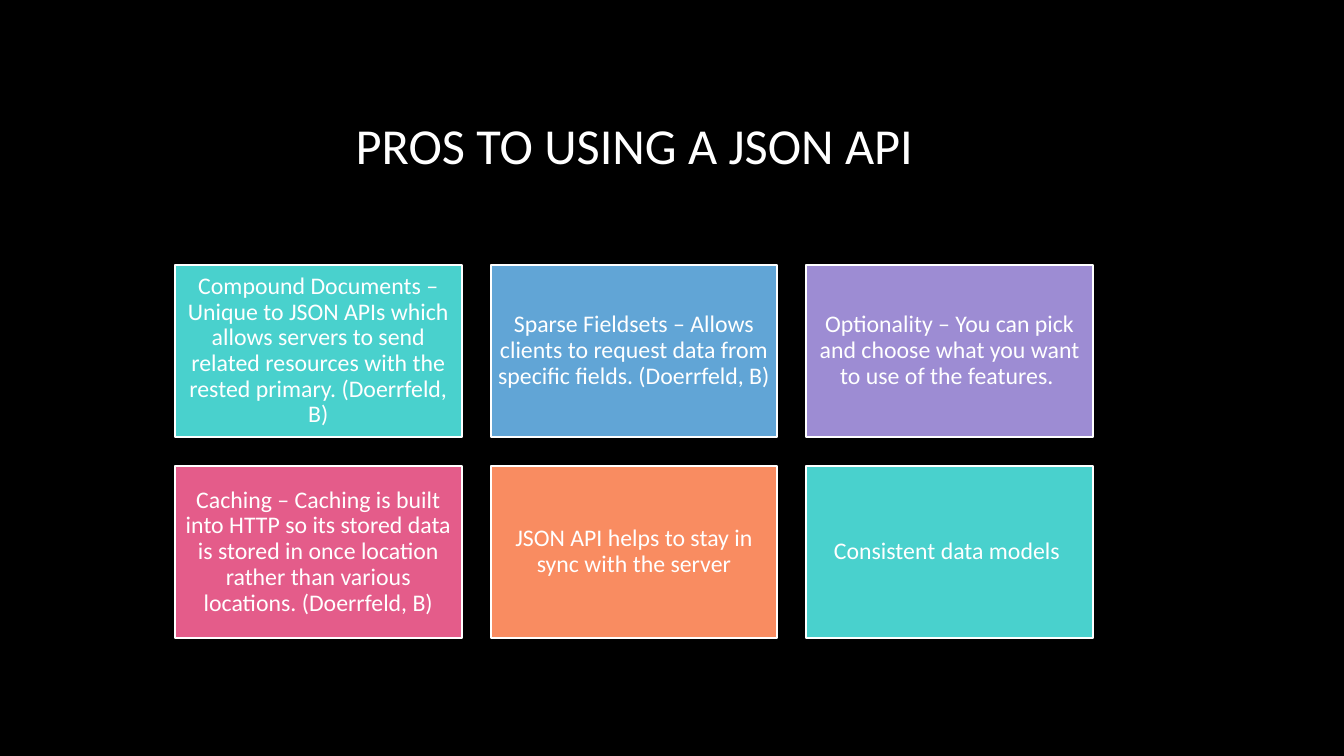
from pptx import Presentation
from pptx.dml.color import RGBColor
from pptx.enum.shapes import MSO_SHAPE
from pptx.enum.text import MSO_ANCHOR, MSO_AUTO_SIZE, PP_ALIGN
from pptx.util import Pt

RECT = MSO_SHAPE.RECTANGLE
MIDDLE = MSO_ANCHOR.MIDDLE
CENTER = PP_ALIGN.CENTER
FIXED = MSO_AUTO_SIZE.NONE
SCALE = 914400 / 100.8
FONT = "Calibri"
WHITE = "FFFFFF"
TITLE = "PROS TO USING A JSON API"
COLS, GAP, INSET = 3, 29, 7

PROS = [
    ("49D1CD", "Compound Documents – Unique to JSON APIs which allows servers "
               "to send related resources with the rested primary. (Doerrfeld, B)"),
    ("61A5D6", "Sparse Fieldsets – Allows clients to request data from "
               "specific fields. (Doerrfeld, B)"),
    ("9D8CD3", "Optionality – You can pick and choose what you want "
               "to use of the features. "),
    ("E45C8A", "Caching – Caching is built into HTTP so its stored data is stored "
               "in once location rather than various locations. (Doerrfeld, B)"),
    ("F98C61", "JSON API helps to stay in sync with the server"),
    ("49D1CD", "Consistent data models "),
]


def px(n):
    return round(n * SCALE)


def color(code):
    return RGBColor.from_string(code)


def write(shape, text, size):
    frame = shape.text_frame
    frame.text = text
    frame.word_wrap = True
    frame.auto_size = FIXED
    frame.vertical_anchor = MIDDLE
    para = frame.paragraphs[0]
    para.alignment = CENTER
    para.line_spacing = 0.9
    font = para.runs[0].font
    font.name = FONT
    font.size = Pt(size)
    font.color.rgb = color(WHITE)


def head(slide, box):
    title = slide.shapes.title
    title.left, title.top, title.width, title.height = map(px, box)
    write(title, TITLE, 36)


def card(slide, box, fill, text):
    shape = slide.shapes.add_shape(RECT, *map(px, box))
    shape.shadow.inherit = False
    shape.fill.solid()
    shape.fill.fore_color.rgb = color(fill)
    shape.line.color.rgb = color(WHITE)
    shape.line.width = Pt(1.5)
    write(shape, text, 17)
    frame = shape.text_frame
    frame.margin_left = frame.margin_right = px(INSET)
    frame.margin_top = frame.margin_bottom = px(INSET)


def grid(slide, box, items):
    left, top, width, height = box
    rows = len(items) // COLS
    wide = (width - GAP * (COLS - 1)) / COLS
    high = (height - GAP * (rows - 1)) / rows
    for i, (fill, text) in enumerate(items):
        row, col = divmod(i, COLS)
        spot = (left + col * (wide + GAP), top + row * (high + GAP), wide, high)
        card(slide, spot, fill, text)


deck = Presentation()
deck.slide_width, deck.slide_height = px(1344), px(756)
slide = deck.slides.add_slide(deck.slide_layouts[5])
back = slide.background.fill
back.solid()
back.fore_color.rgb = color("000000")
head(slide, (76, 68, 1117, 160))
grid(slide, (175, 265, 918, 373), PROS)
deck.save("out.pptx")
